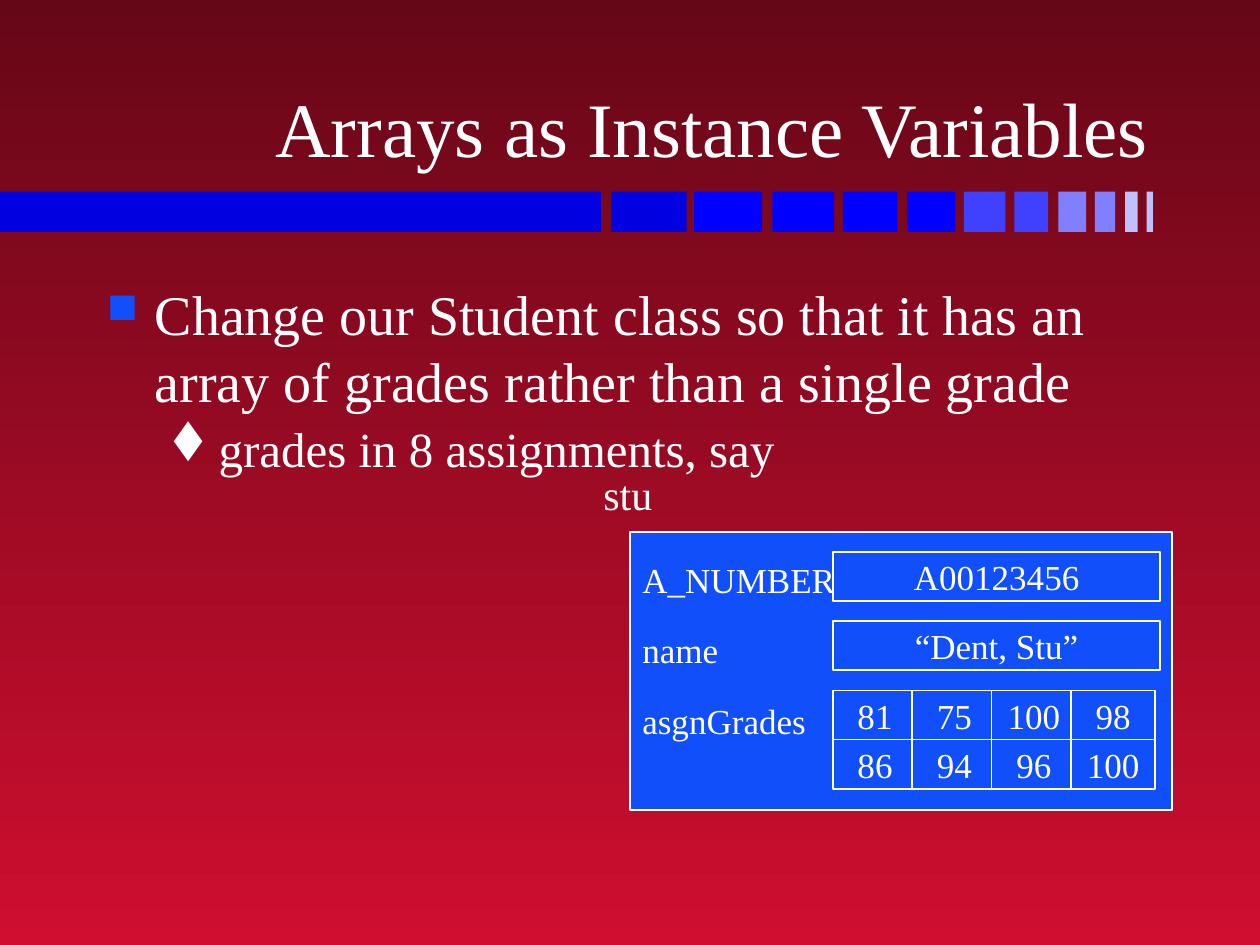
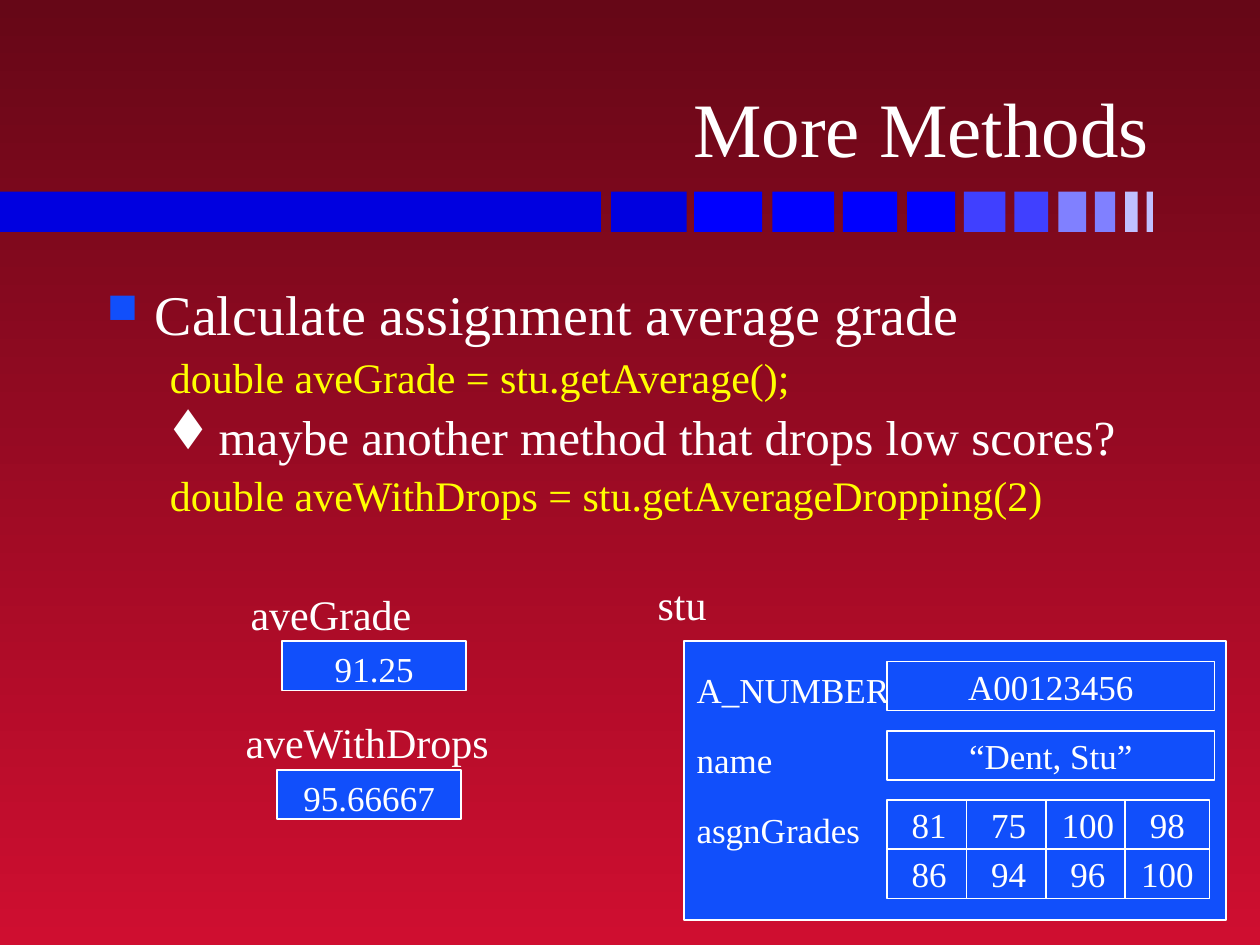
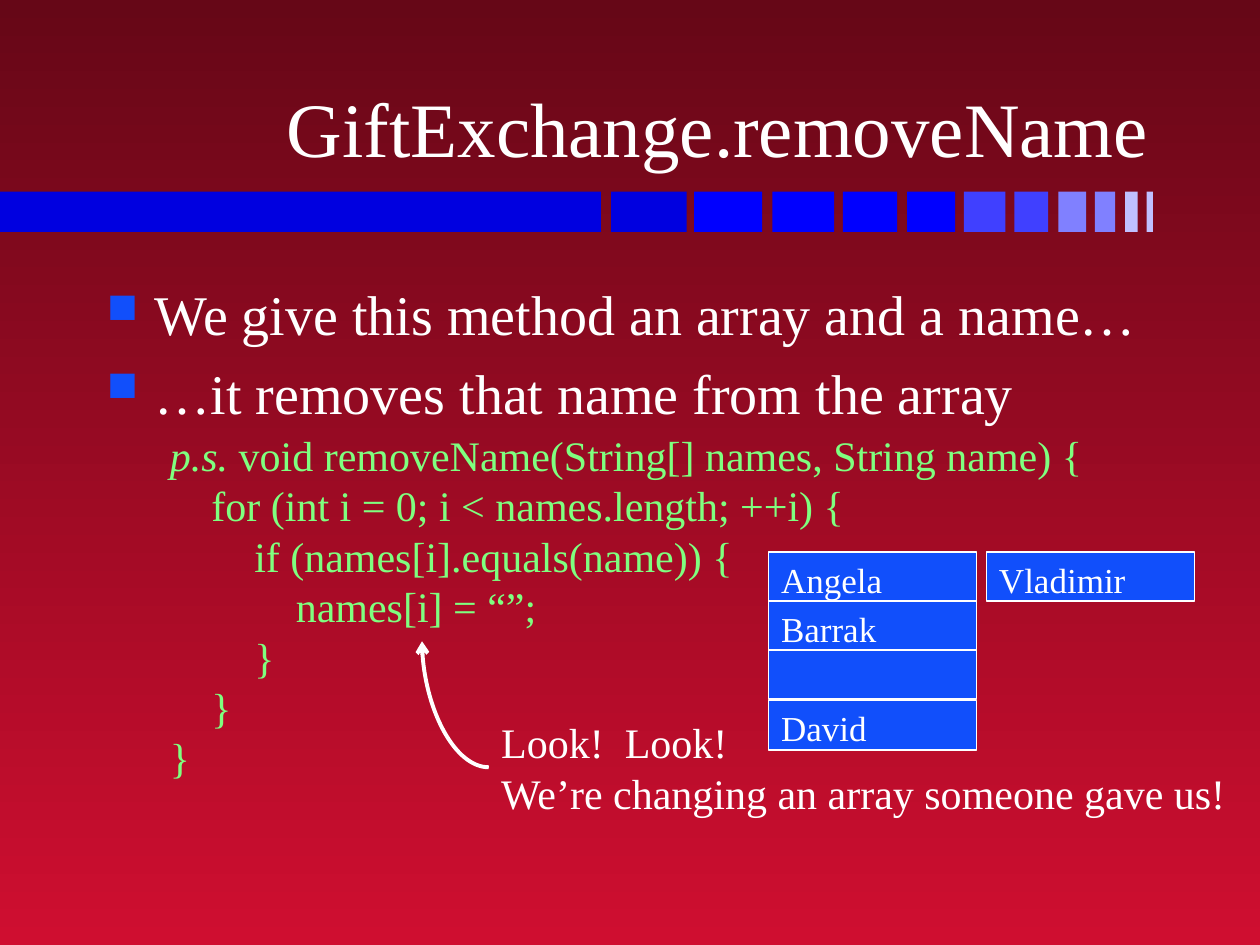
from dataclasses import dataclass

from lxml import etree
from pptx import Presentation
from pptx import util as u
from pptx.dml.color import RGBColor
from pptx.enum import shapes, text
from pptx.oxml import ns

PX = 9144
LEFT, MID, RIGHT = text.PP_ALIGN.LEFT, text.PP_ALIGN.CENTER, text.PP_ALIGN.RIGHT
TOP, CENTER = text.MSO_ANCHOR.TOP, text.MSO_ANCHOR.MIDDLE


@dataclass(frozen=True)
class Theme:
    font: str = "Times New Roman"
    signs: str = "Wingdings"
    square: str = "n"
    diamond: str = "t"
    dark: str = "660717"
    red: str = "CF0E30"
    white: str = "FFFFFF"
    blue: str = "114FFB"
    yellow: str = "FFFF00"
    green: str = "7FFF7F"
    title: int = 44
    point: int = 32
    sub: int = 28
    code: int = 24
    cell: int = 20
    bars: tuple = (
        (910, 5, "C0C0FF"), (893, 10, "C0C0FF"),
        (869, 16, "8080FF"), (840, 22, "8080FF"),
        (805, 27, "4040FF"), (765, 33, "4040FF"),
        (720, 38, "0000FF"), (669, 43, "0000FF"),
        (613, 49, "0000FF"), (551, 54, "0000FF"),
        (485, 60, "0000E0"), (0, 477, "0000E0"),
    )


def px(*sizes):
    return [u.Emu(round(size * PX)) for size in sizes]


def rgb(code):
    return RGBColor.from_string(code)


def add(node, tag, **attrs):
    return etree.SubElement(node, ns.qn(tag), **attrs)


class Deck:
    def __init__(self, theme):
        self.theme = theme
        self.prs = Presentation()
        self.prs.slide_width, self.prs.slide_height = px(1000, 750)
        fill = self.prs.slide_master.background.fill
        fill.gradient()
        fill.gradient_angle = 270
        for stop, color in zip(fill.gradient_stops, (theme.dark, theme.red)):
            stop.color.rgb = rgb(color)
        self.slide = None

    def start(self, title):
        self.slide = self.prs.slides.add_slide(self.prs.slide_layouts[5])
        for left, width, color in self.theme.bars:
            self.rect(left, 152, width, 32, color)
        head = self.slide.shapes.title
        head.left, head.top, head.width, head.height = px(74, 19, 848, 123)
        frame = head.text_frame
        frame.auto_size = text.MSO_AUTO_SIZE.NONE
        frame.vertical_anchor = text.MSO_ANCHOR.BOTTOM
        para = frame.paragraphs[0]
        para.alignment = RIGHT
        self.run(para, title, self.theme.title)

    def run(self, para, words, size, color=None, slant=False):
        run = para.add_run()
        run.text = words
        font = run.font
        font.name, font.size, font.italic = self.theme.font, u.Pt(size), slant
        font.color.rgb = rgb(color or self.theme.white)

    def lines(self, frame, rows, size, align=LEFT):
        for num, row in enumerate(rows):
            para = frame.add_paragraph() if num else frame.paragraphs[0]
            para.alignment = align
            self.run(para, row, size)

    def rect(self, left, top, width, height, color):
        kind = shapes.MSO_SHAPE.RECTANGLE
        shape = self.slide.shapes.add_shape(kind, *px(left, top, width, height))
        shape.shadow.inherit = False
        shape.fill.solid()
        shape.fill.fore_color.rgb = rgb(color)
        shape.line.fill.background()
        return shape

    def box(self, left, top, width, height, rows=(), align=MID, anchor=CENTER):
        shape = self.rect(left, top, width, height, self.theme.blue)
        shape.line.color.rgb = rgb(self.theme.white)
        shape.line.width = u.Pt(1)
        shape.text_frame.vertical_anchor = anchor
        self.lines(shape.text_frame, rows, self.theme.cell, align)
        return shape

    def label(self, left, top, width, height, *rows, wrap=False):
        shape = self.slide.shapes.add_textbox(*px(left, top, width, height))
        shape.text_frame.word_wrap = wrap
        self.lines(shape.text_frame, rows, self.theme.code)

    def body(self):
        shape = self.slide.shapes.add_textbox(*px(75, 217, 850, 450))
        shape.text_frame.word_wrap = True
        self.frame = shape.text_frame
        self.fresh = True

    def para(self, level, left, hang, before):
        para = self.frame.paragraphs[0] if self.fresh else self.frame.add_paragraph()
        self.fresh = False
        para.level = level
        para.space_before = u.Pt(before)
        props = para._p.get_or_add_pPr()
        props.set("marL", str(left * PX))
        props.set("indent", str(-hang * PX))
        return para, props

    def bullet(self, props, sign, color, size):
        add(add(props, "a:buClr"), "a:srgbClr", val=color)
        add(props, "a:buSzPct", val=str(size * 1000))
        add(props, "a:buFont", typeface=self.theme.signs, pitchFamily="2", charset="2")
        add(props, "a:buChar", char=sign)

    def point(self, words):
        para, props = self.para(0, 38, 38, 6.4)
        self.bullet(props, self.theme.square, self.theme.blue, 75)
        self.run(para, words, self.theme.point)

    def sub(self, words):
        para, props = self.para(1, 81, 31, 2.8)
        self.bullet(props, self.theme.diamond, self.theme.white, 100)
        self.run(para, words, self.theme.sub)

    def code(self, words, color, depth=0, before=0, lead=""):
        para, props = self.para(1, 50 + round(depth * 100 / 3), 0, before)
        add(props, "a:buNone")
        if lead:
            self.run(para, lead, self.theme.code, color, True)
        self.run(para, words, self.theme.code, color)

    def curve(self, *ends):
        kind = shapes.MSO_CONNECTOR.CURVE
        line = self.slide.shapes.add_connector(kind, *px(*ends))
        line.line.color.rgb = rgb(self.theme.white)
        line.line.width = u.Pt(2.25)
        props = line._element.spPr
        props.find(ns.qn("a:prstGeom")).set("prst", "curvedConnector2")
        add(props.find(ns.qn("a:ln")), "a:tailEnd", type="arrow")
        add(props, "a:effectLst")

    def student(self, left, top):
        self.label(left - 31, top - 55, 461, 50, "stu", wrap=True)
        names = ("A_NUMBER", "name", "asgnGrades")
        card = self.box(left, top, 430, 221, names, LEFT, TOP)
        for para in card.text_frame.paragraphs:
            para.line_spacing = 1.5
            para.space_before = para.space_after = u.Pt(2)
        for num, value in enumerate(("A00123456", "“Dent, Stu”")):
            self.box(left + 161, top + 16 + 55 * num, 260, 39, [value])
        grades = (81, 75, 100, 98, 86, 94, 96, 100)
        for num, grade in enumerate(grades):
            row, col = divmod(num, 4)
            self.box(left + 161 + 63 * col, top + 126 + 39 * row, 67, 39, [str(grade)])

    def result(self, left, top, width, name, value):
        self.box(left + 35, top + 47, 146, 39, [value], anchor=TOP)
        self.label(left, top, width, 50, name)


def main():
    theme = Theme()
    deck = Deck(theme)

    deck.start("Arrays as Instance Variables")
    deck.body()
    deck.point("Change our Student class so that it has an array of grades "
               "rather than a single grade")
    deck.sub("grades in 8 assignments, say")
    deck.student(500, 422)

    deck.start("More Methods")
    deck.body()
    deck.point("Calculate assignment average grade")
    deck.code("double aveGrade = stu.getAverage();", theme.yellow, before=2.4)
    deck.sub("maybe another method that drops low scores?")
    deck.code("double aveWithDrops = stu.getAverageDropping(2)", theme.yellow, before=2.4)
    deck.student(543, 509)
    deck.result(189, 462, 149, "aveGrade", "91.25")
    deck.result(185, 564, 215, "aveWithDrops", "95.66667")

    deck.start("GiftExchange.removeName")
    deck.body()
    deck.point("We give this method an array and a name…")
    deck.point("…it removes that name from the array")
    deck.code(" void removeName(String[] names, String name) {", theme.green,
              before=2.4, lead="p.s.")
    rows = (
        (1, "for (int i = 0; i < names.length; ++i) {"),
        (2, "if (names[i].equals(name)) {"),
        (3, "names[i] = “”;"),
        (2, "}"),
        (1, "}"),
        (0, "}"),
    )
    for depth, words in rows:
        deck.code(words, theme.green, depth)
    deck.label(388, 564, 600, 91, "Look!  Look!",
               "We’re changing an array someone gave us!")
    deck.curve(388, 609, 335, 509)
    for num, name in enumerate(("Angela", "Barrak", "", "David")):
        deck.box(610, 438 + num * 118 // 3, 165, 39, [name] if name else (), LEFT, TOP)
    deck.box(783, 438, 165, 39, ["Vladimir"], LEFT, TOP)

    deck.prs.save("out.pptx")


if __name__ == "__main__":
    main()
